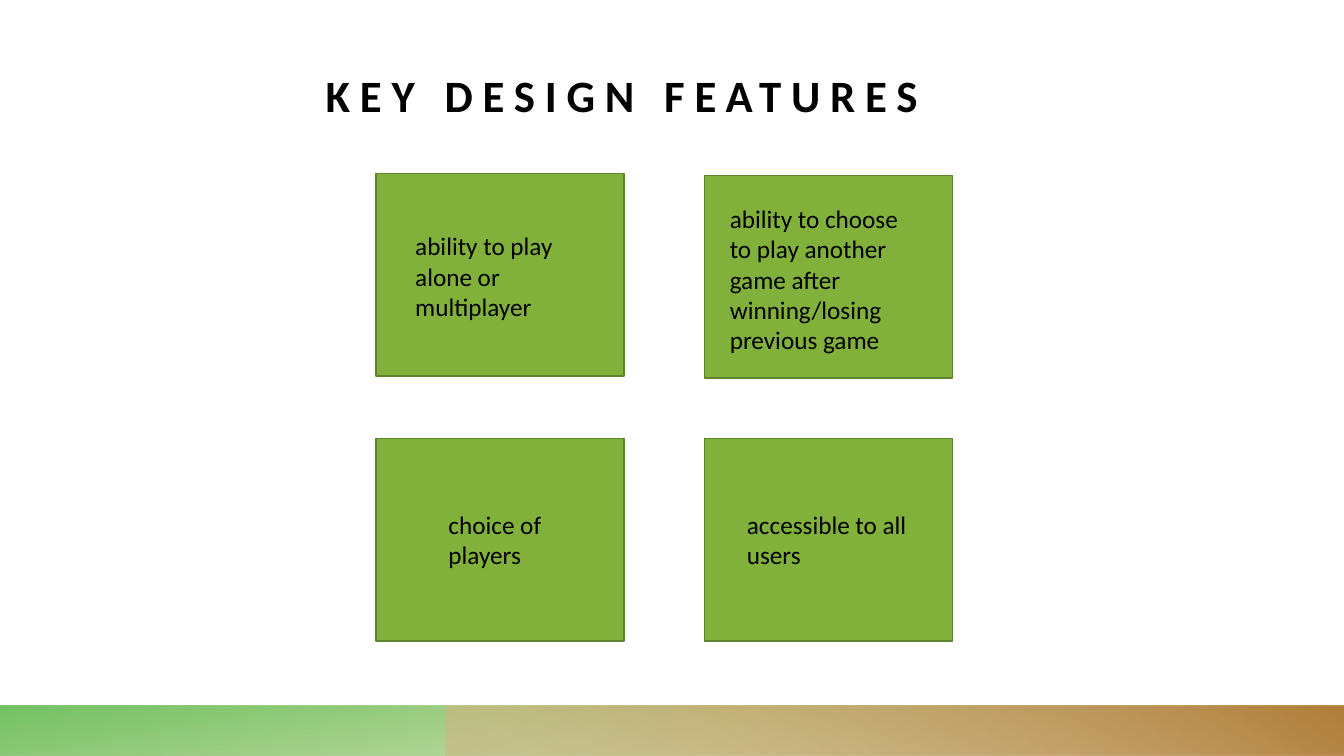
"""Build the "Key design features" slide."""
from dataclasses import dataclass

from lxml import etree
from pptx import Presentation
from pptx import util as u
from pptx.dml.color import RGBColor
from pptx.enum import shapes, text
from pptx.oxml.ns import qn

PX = 9144
SLIDE_W, SLIDE_H = 1333, 750
BAND_H = 50
CARD_W, CARD_H = 246, 201
NOTE_W = 187
FONT = "Calibri"
COLORS = {
    "card": "81B13B",
    "card_edge": "5F832C",
    "green": "5BB748",
    "sand": "D6B384",
    "brown": "B17F3B",
    "ink": "000000",
}


@dataclass(frozen=True)
class Stop:
    position: int
    color: str
    opacity: int


@dataclass(frozen=True)
class Band:
    left: int
    rotation: int
    angle: int
    stops: tuple[Stop, Stop]


@dataclass(frozen=True)
class Feature:
    wording: str
    card_left: int
    card_top: int
    note_left: int
    note_top: int
    note_height: int


BANDS = [
    Band(0, 180, 100, (Stop(14, "card", 28), Stop(100, "green", 85))),
    Band(442, 0, 240, (Stop(9, "sand", 55), Stop(99, "brown", 100))),
]
FEATURES = [
    Feature("ability to play alone or multiplayer", 373, 172, 402, 224, 101),
    Feature("ability to choose to play another game after winning/losing previous game",
            699, 174, 714, 197, 162),
    Feature("choice of players", 373, 435, 435, 500, 71),
    Feature("accessible to all users", 699, 435, 731, 500, 71),
]


def px(length: int) -> u.Emu:
    """Turn px into EMU."""
    return u.Emu(length * PX)


def rgb(name: str) -> RGBColor:
    """Look up a named colour."""
    return RGBColor.from_string(COLORS[name])


def add_rectangle(slide, left: int, top: int, width: int, height: int):
    """Add a rectangle without shadow."""
    rectangle = slide.shapes.add_shape(
        shapes.MSO_SHAPE.RECTANGLE, px(left), px(top), px(width), px(height))
    rectangle.shadow.inherit = False
    return rectangle


def style_run(run, size: int, bold: bool = False) -> None:
    """Format a run in the slide's typeface."""
    run.font.name = FONT
    run.font.size = u.Pt(size)
    run.font.bold = bold
    run.font.color.rgb = rgb("ink")


def draw_band(slide, band: Band) -> None:
    """Draw a mirrored translucent gradient along the bottom edge."""
    strip = add_rectangle(slide, band.left, SLIDE_H - BAND_H, SLIDE_W - band.left, BAND_H)
    strip.rotation = band.rotation
    strip._element.spPr.find(qn("a:xfrm")).set("flipH", "1")
    strip.line.fill.background()
    strip.fill.gradient()
    strip.fill.gradient_angle = 360 - band.angle
    for gradient_stop, stop in zip(strip.fill.gradient_stops, band.stops):
        gradient_stop.position = stop.position / 100
        gradient_stop.color.rgb = rgb(stop.color)
    tints = strip._element.spPr.findall(".//" + qn("a:srgbClr"))
    for tint, stop in zip(tints, band.stops):
        etree.SubElement(tint, qn("a:alpha"), val=str(stop.opacity * 1000))


def draw_title(slide, wording: str) -> None:
    """Place and format the title placeholder."""
    title = slide.shapes.title
    title.left, title.top, title.width, title.height = map(px, (323, 37, 686, 84))
    frame = title.text_frame
    frame.text = wording
    frame.word_wrap = True
    frame.auto_size = text.MSO_AUTO_SIZE.NONE
    frame.vertical_anchor = text.MSO_ANCHOR.BOTTOM
    frame.margin_left = frame.margin_right = frame.margin_top = frame.margin_bottom = 0
    heading = frame.paragraphs[0]
    heading.alignment = text.PP_ALIGN.LEFT
    style_run(heading.runs[0], 32, bold=True)
    heading.runs[0].font._element.set("spc", "700")


def draw_feature(slide, feature: Feature) -> None:
    """Draw a green card with its wording on top."""
    card = add_rectangle(slide, feature.card_left, feature.card_top, CARD_W, CARD_H)
    card.fill.solid()
    card.fill.fore_color.rgb = rgb("card")
    card.line.color.rgb = rgb("card_edge")
    card.line.width = u.Pt(1)
    note = slide.shapes.add_textbox(
        px(feature.note_left), px(feature.note_top), px(NOTE_W), px(feature.note_height))
    note.text_frame.text = feature.wording
    note.text_frame.word_wrap = True
    note.text_frame.auto_size = text.MSO_AUTO_SIZE.SHAPE_TO_FIT_TEXT
    style_run(note.text_frame.paragraphs[0].runs[0], 18)


def main() -> None:
    """Build and save the slide."""
    deck = Presentation()
    deck.slide_width, deck.slide_height = px(SLIDE_W), px(SLIDE_H)
    slide = deck.slides.add_slide(deck.slide_layouts.get_by_name("Title Only"))
    for band in BANDS:
        draw_band(slide, band)
    draw_title(slide, "KEY DESIGN FEATURES")
    for feature in FEATURES:
        draw_feature(slide, feature)
    deck.save("out.pptx")


if __name__ == "__main__":
    main()
